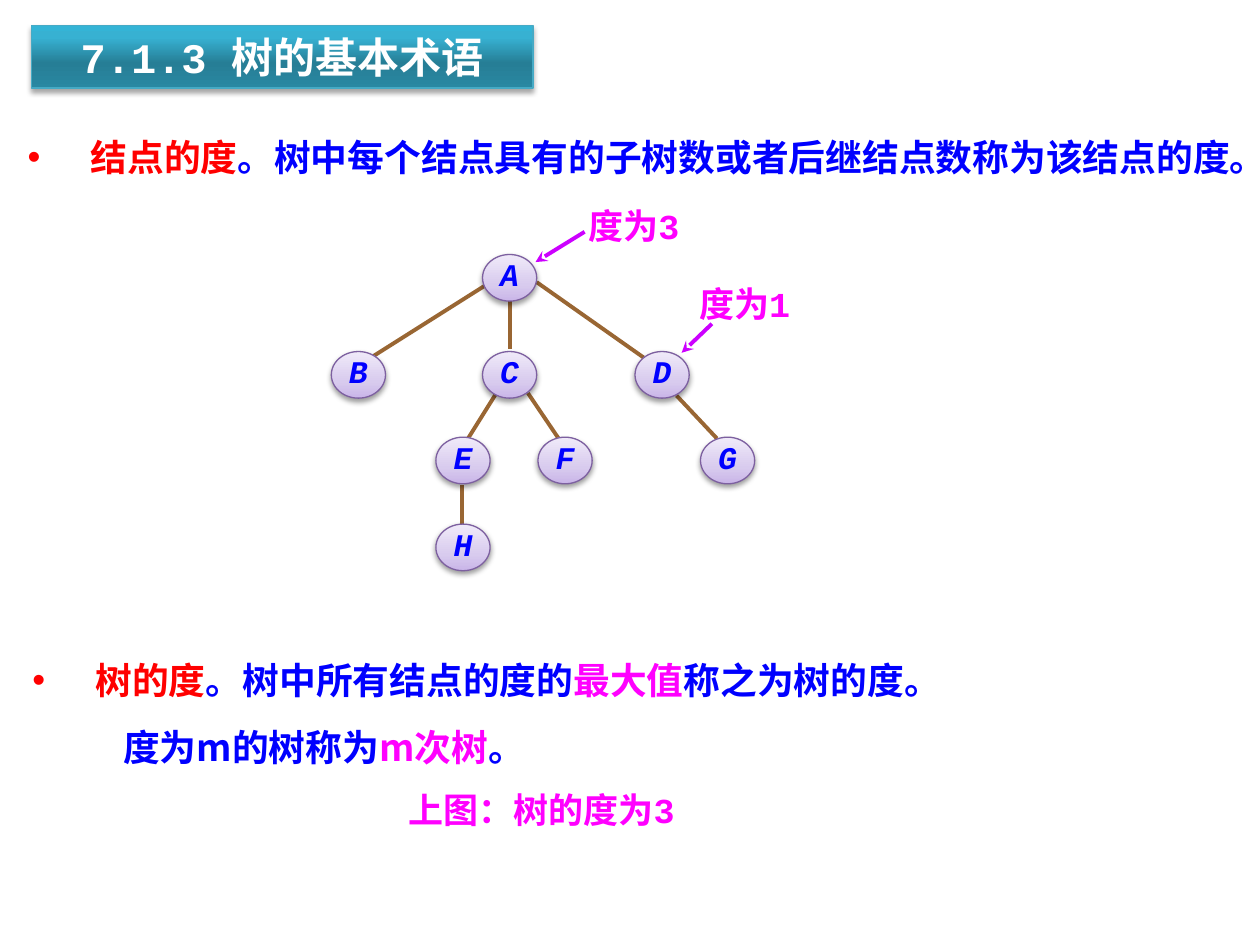
import pptx
import pptx.util
import pptx.dml.color
import pptx.enum.shapes
import pptx.enum.text
import pptx.oxml
import pptx.oxml.ns
from dataclasses import dataclass

COLS, ROWS = 100, 75  # grid laid over the whole slide
ALIGN = pptx.enum.text.PP_ALIGN
SHAPES = pptx.enum.shapes.MSO_SHAPE
qn = pptx.oxml.ns.qn


@dataclass(frozen=True)
class Theme:
    mono: str = "Courier New"
    sans: str = "Noto Sans CJK SC"
    white: str = "FFFFFF"
    red: str = "FF0000"
    blue: str = "0000FF"
    pink: str = "FF00FF"
    arrow: str = "CC00FF"
    edge: str = "996633"
    bar: tuple = ((0, "2A88A2"), (40, "267E96"), (80, "37B1D2"), (100, "34B4D6"))
    rim: str = "46AAC5"
    ball: tuple = ((0, "C9B5E8"), (35, "D8CBEE"), (100, "F0EAF9"))
    ring: str = "7D60A0"
    head: int = 24
    body: int = 21
    note: int = 20
    node: int = 18


T = Theme()
deck = pptx.Presentation()
deck.slide_width = pptx.util.Inches(10)
deck.slide_height = pptx.util.Inches(7.5)
slide = deck.slides.add_slide(deck.slide_layouts[6])


def grid(*nums):
    """Turn x, y, x, y ... in columns and rows into slide lengths."""
    unit = (deck.slide_width / COLS, deck.slide_height / ROWS)
    return [round(n * unit[i % 2]) for i, n in enumerate(nums)]


def rgb(code):
    return pptx.dml.color.RGBColor.from_string(code)


def node_xml(tag, **attrs):
    item = pptx.oxml.parse_xml(f"<a:{tag} {pptx.oxml.ns.nsdecls('a')}/>")
    for key, val in attrs.items():
        item.set(key, str(val))
    return item


def tint(code, alpha=None):
    item = node_xml("srgbClr", val=code)
    if alpha:
        item.append(node_xml("alpha", val=alpha * 1000))
    return item


def write(shape, paras, size, font=T.mono, color=T.blue, italic=False,
          align=ALIGN.LEFT, space=None, anchor=pptx.enum.text.MSO_ANCHOR.TOP,
          wrap=True, side=None):
    """Each paragraph is (runs, indent, bullet); a run is (text, changes)."""
    frame = shape.text_frame
    frame.word_wrap = wrap
    frame.vertical_anchor = anchor
    if side is not None:
        frame.margin_left = frame.margin_right = side
    if isinstance(paras, str):
        paras = [([(paras, {})], 0, False)]
    for i, (runs, indent, bullet) in enumerate(paras):
        para = frame.paragraphs[0] if i == 0 else frame.add_paragraph()
        para.alignment = align
        if space:
            para.line_spacing = space
        props = para._p.get_or_add_pPr()
        if indent:
            left = grid(indent)[0]
            props.set("marL", str(left))
            props.set("indent", str(-left if bullet else 0))
        if bullet:
            props.append(node_xml("buFont", typeface="Arial"))
            props.append(node_xml("buChar", char="•"))
        for text, change in runs:
            run = para.add_run()
            run.text = text
            run.font.size = pptx.util.Pt(size)
            run.font.bold, run.font.italic = True, italic
            run.font.color.rgb = rgb(change.get("color", color))
            run.font.name = change.get("font", font)
            latin = run._r.rPr.find(qn("a:latin"))
            latin.addnext(node_xml("ea", typeface=T.sans))
    return shape


def label(box, paras, size, **form):
    return write(slide.shapes.add_textbox(*grid(*box)), paras, size, **form)


def solid(kind, box, stops, rim, alpha):
    """A preset shape with an upward gradient and a soft shadow."""
    shape = slide.shapes.add_shape(kind, *grid(*box))
    shape.fill.gradient()
    shape.fill.gradient_angle = 90
    props = shape._element.spPr
    marks = props.find(".//" + qn("a:gsLst"))
    for old in list(marks):
        marks.remove(old)
    for pos, code in stops:
        stop = node_xml("gs", pos=pos * 1000)
        stop.append(tint(code))
        marks.append(stop)
    shape.line.color.rgb = rgb(rim)
    shape.line.width = pptx.util.Pt(0.75)
    shape.shadow.inherit = False
    blur = node_xml("outerShdw", blurRad=pptx.util.Pt(3.1), dist=pptx.util.Pt(1.7),
                    dir=90 * 60000, rotWithShape=0)
    blur.append(tint("000000", alpha))
    props.find(qn("a:effectLst")).append(blur)
    return shape


def line(ends, color, head=False):
    link = slide.shapes.add_connector(
        pptx.enum.shapes.MSO_CONNECTOR.STRAIGHT, *grid(*ends))
    link.line.color.rgb = rgb(color)
    link.line.width = pptx.util.Pt(2.25)
    if head:
        link.line._get_or_add_ln().append(node_xml("tailEnd", type="stealth"))
    link._element.spPr.append(node_xml("effectLst"))


def shift(left, top, ends):
    return [n + (top if i % 2 else left) for i, n in enumerate(ends)]


def title(box):
    bar = solid(SHAPES.RECTANGLE, box, T.bar, T.rim, 35)
    write(bar, "7.1.3 树的基本术语", T.head, color=T.white, align=ALIGN.CENTER)


def callout(box, text, ends):
    line(shift(*box[:2], ends), T.arrow, head=True)
    label(box, text, T.note, color=T.pink, align=ALIGN.CENTER, space=0.8)


def tree(left, top):
    wide, high = 4.3, 3.7
    rows = (0, 7.7, 14.5, 21.4)
    edges = (
        (16.3, 2.2, 25.1, 8.4),     # A-D
        (12.3, 2.4, 2.8, 8.4),      # A-B
        (14.2, 3.7, 14.2, 7.5),     # A-C
        (13.1, 11, 10.6, 15),       # C-E
        (15.6, 11, 18.1, 14.7),     # C-F
        (27.4, 11.2, 30.6, 14.6),   # D-G
        (10.4, 18.3, 10.4, 21.4),   # E-H
    )
    nodes = {"A": (12, 0), "B": (0, 1), "C": (12, 1), "D": (24.1, 1),
             "E": (8.3, 2), "F": (16.4, 2), "G": (29.3, 2), "H": (8.3, 3)}
    for ends in edges:
        line(shift(left, top, ends), T.edge)
    for name, (col, row) in nodes.items():
        ball = solid(SHAPES.OVAL, (left + col, top + rows[row], wide, high),
                     T.ball, T.ring, 38)
        write(ball, name, T.node, italic=True, align=ALIGN.CENTER, space=0.8,
              anchor=pptx.enum.text.MSO_ANCHOR.MIDDLE, wrap=False, side=0)


def terms(box, paras, space):
    label(box, paras, T.body, font=T.sans, space=space)


red, pink, stop = {"color": T.red}, {"color": T.pink}, ("。", {"font": T.mono})

# Heading and degree of a node
title((2.5, 2, 39.8, 5))
terms((1.2, 9.8, 98.1, 4.6), [
    ([("结点的度", red), stop,
      ("树中每个结点具有的子树数或者后继结点数称为该结点的度。", {})], 5, True),
], pptx.util.Pt(28))

# Tree with its callouts
tree(26.3, 20.2)
callout((44.4, 16.4, 11.8, 3.7), "度为3", (2, 2, -1.9, 4.4))
callout((53.2, 22.6, 11.8, 3.7), "度为1", (3.3, 3.1, 0.9, 5.4))

# Degree of a tree
terms((1.6, 50, 95.7, 10.8), [
    ([("树的度", red), stop, ("树中所有结点的度的", {}),
      ("最大值", pink), ("称之为树的度。", {})], 5, True),
    ([("度为m的树称为", {}), ("m次树", pink), ("。", {})], 7.2, False),
], 1.5)
label((31.4, 62.7, 24.2, 3.7), "上图：树的度为3", T.note, color=T.pink, space=0.8)

deck.save("out.pptx")
